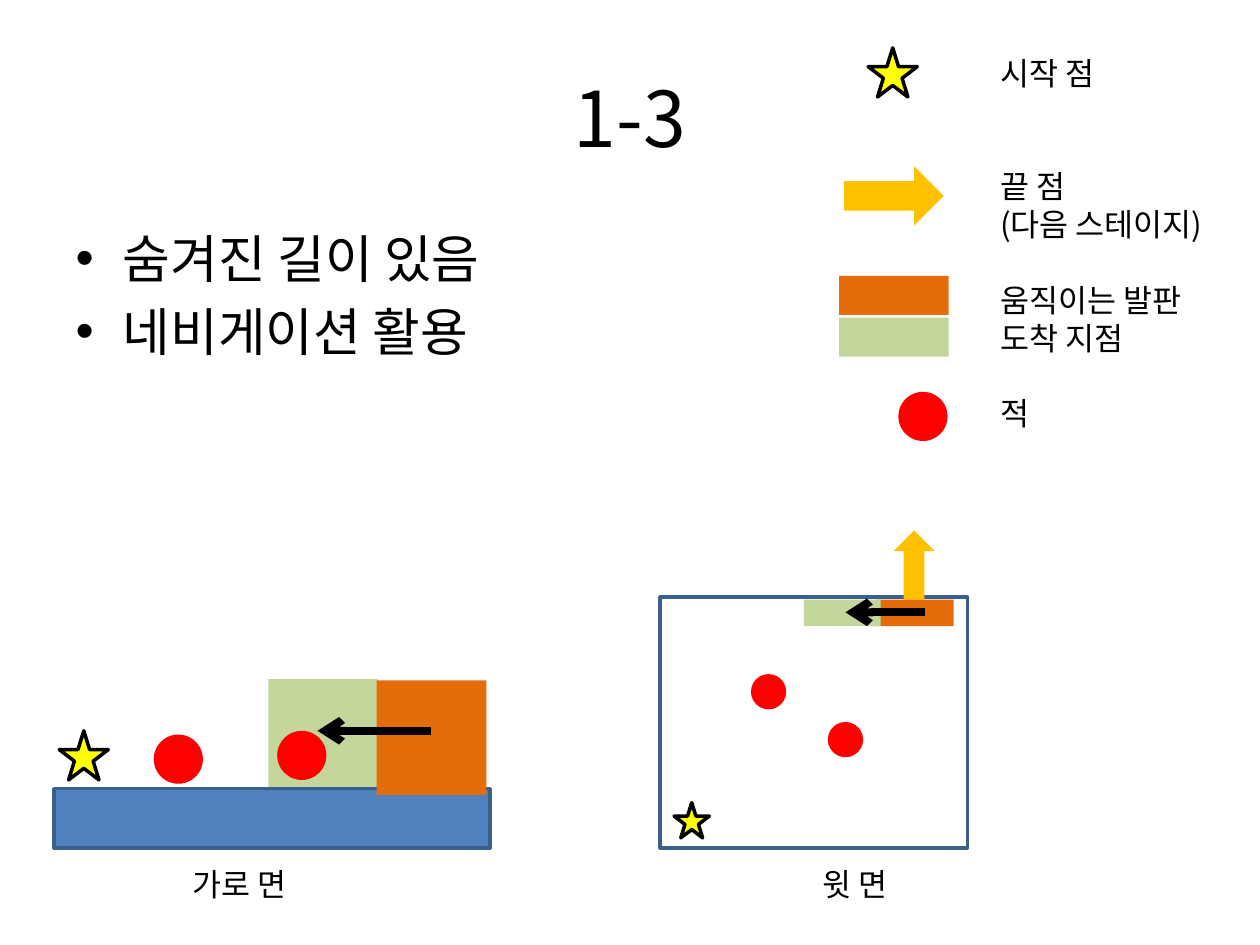
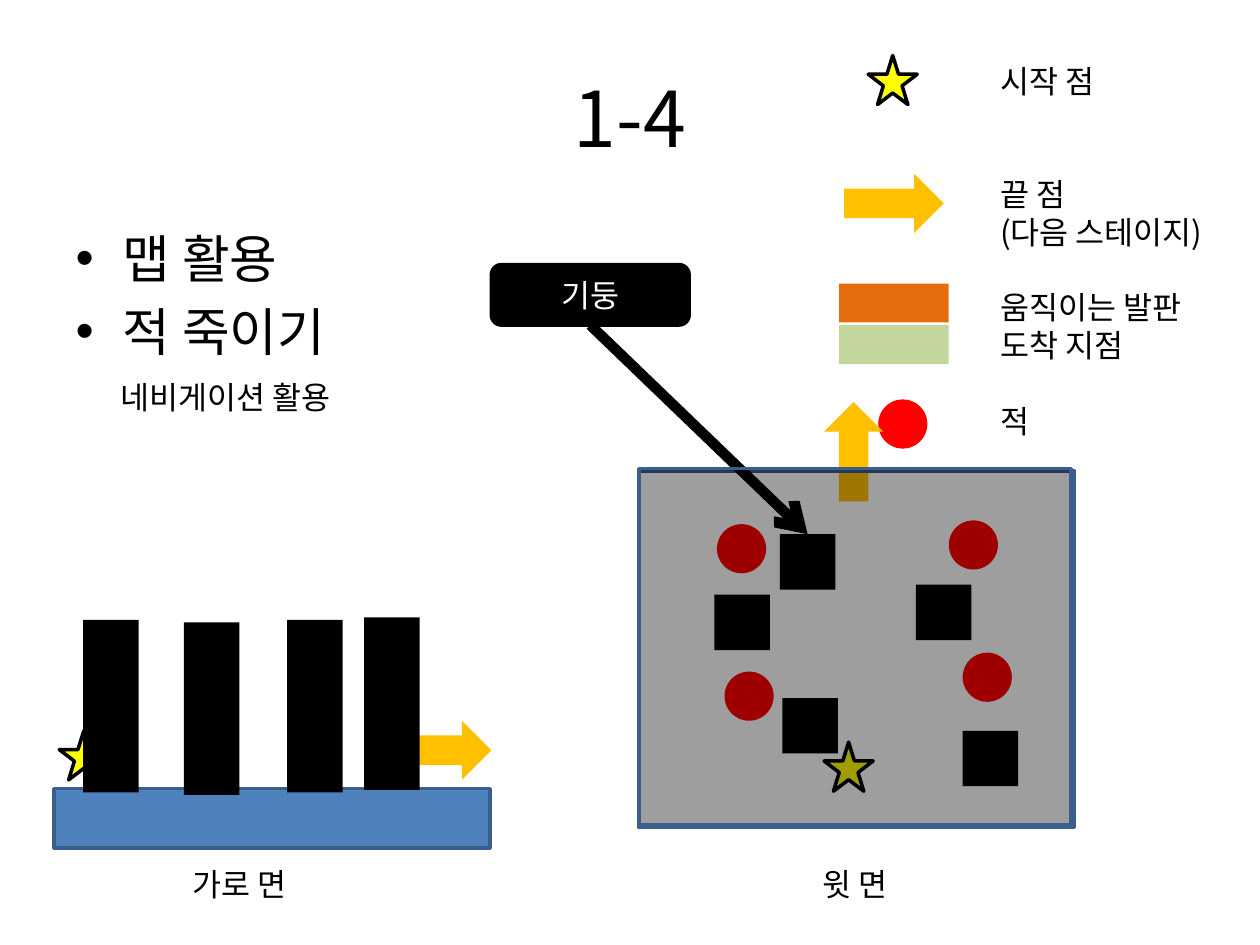
from dataclasses import dataclass

from lxml import etree
from pptx import Presentation
from pptx.dml.color import RGBColor
from pptx.enum.shapes import MSO_CONNECTOR, MSO_SHAPE
from pptx.enum.text import MSO_ANCHOR, MSO_AUTO_SIZE, PP_ALIGN
from pptx.oxml.ns import qn
from pptx.util import Inches, Pt

RECT, ROUND = MSO_SHAPE.RECTANGLE, MSO_SHAPE.ROUNDED_RECTANGLE
STAR, OVAL = MSO_SHAPE.STAR_5_POINT, MSO_SHAPE.OVAL
ARROW, STRAIGHT = MSO_SHAPE.RIGHT_ARROW, MSO_CONNECTOR.STRAIGHT
MIDDLE, CENTER = MSO_ANCHOR.MIDDLE, PP_ALIGN.CENTER
FIXED = MSO_AUTO_SIZE.NONE
BOTTOM, TOP = 2, 0  # connection sites of a rectangle
COLS, ROWS = 100, 75


@dataclass(frozen=True)
class Theme:
    font: str = "Noto Sans CJK KR"
    ink: str = "000000"
    paper: str = "FFFFFF"
    floor: str = "4F81BD"
    edge: str = "3A5F8C"
    start: str = "FFFF00"
    goal: str = "FFC000"
    foe: str = "FF0000"
    step: str = "E46C0A"
    stop: str = "C3D69B"
    head: float = 44
    item: float = 29.6
    note: float = 18
    lead: float = 1.2
    rule: float = 2


class Deck:
    """Style and current slide; lengths are columns and rows of the grid."""

    def __init__(self, theme):
        self.theme = theme
        self.prs = Presentation()
        self.prs.slide_width, self.prs.slide_height = Inches(10), Inches(7.5)
        self.col = self.prs.slide_width / COLS
        self.row = self.prs.slide_height / ROWS
        self.slide = None

    def frame(self, x, y, w, h):
        return (*self.point(x, y), *self.point(w, h))

    def point(self, x, y):
        return round(x * self.col), round(y * self.row)

    # Text
    def style(self, para, size, color):
        for run in para.runs:
            run.font.size = Pt(size)
            run.font.name = self.theme.font
            run.font.color.rgb = RGBColor.from_string(color)
            east = etree.SubElement(run.font._element, qn("a:ea"))
            east.set("typeface", self.theme.font)

    def put(self, text, size, lines):
        text.text = "\n".join(lines)
        for para in text.paragraphs:
            para.line_spacing = Pt(size * self.theme.lead)
            self.style(para, size, self.theme.ink)

    def page(self, title, items):
        self.slide = self.prs.slides.add_slide(self.prs.slide_layouts[1])
        head, body = self.slide.placeholders
        for part, at in ((head, (5, 3, 90, 12.5)), (body, (5, 17.5, 90, 11.3))):
            part.left, part.top, part.width, part.height = self.frame(*at)
            part.text_frame.auto_size = FIXED
        head.text_frame.text = title
        head.text_frame.vertical_anchor = MIDDLE
        para = head.text_frame.paragraphs[0]
        para.alignment = CENTER
        self.style(para, self.theme.head, self.theme.ink)
        self.put(body.text_frame, self.theme.item, items)
        for para in body.text_frame.paragraphs:
            para.space_before = Pt(self.theme.item * 0.2)

    def note(self, at, *lines):
        text = self.slide.shapes.add_textbox(*self.frame(*at)).text_frame
        text.word_wrap = True
        self.put(text, self.theme.note, lines)
        return text.paragraphs

    # Shapes
    def shape(self, kind, at, fill=None, line=None, alpha=None):
        shape = self.slide.shapes.add_shape(kind, *self.frame(*at))
        shape.shadow.inherit = False
        if fill:
            shape.fill.solid()
            shape.fill.fore_color.rgb = RGBColor.from_string(fill)
        else:
            shape.fill.background()
        if alpha:
            color = shape._element.spPr.find(qn("a:solidFill"))[0]
            etree.SubElement(color, qn("a:alpha")).set("val", str(alpha * 1000))
        if line:
            shape.line.color.rgb = RGBColor.from_string(line)
            shape.line.width = Pt(self.theme.rule)
        else:
            shape.line.fill.background()
        return shape

    def star(self, x, y, size=3.9):
        self.shape(STAR, (x, y, size, size), self.theme.start, self.theme.ink)

    def foe(self, x, y, size=3.9):
        self.shape(OVAL, (x, y, size, size), self.theme.foe)

    def goal(self, x, y, w=7.9, h=4.7, turn=0):
        self.shape(ARROW, (x, y, w, h), self.theme.goal).rotation = turn

    def pillar(self, x, y, h=4.4):
        return self.shape(RECT, (x, y, 4.4, h), self.theme.ink)

    def label(self, at, words):
        shape = self.shape(ROUND, at, self.theme.ink, self.theme.ink)
        text = shape.text_frame
        text.text = words
        text.vertical_anchor = MIDDLE
        text.paragraphs[0].alignment = CENTER
        self.style(text.paragraphs[0], self.theme.note, self.theme.paper)
        return shape

    def arrow(self, begin, end, width):
        line = self.slide.shapes.add_connector(
            STRAIGHT, *self.point(*begin), *self.point(*end))
        line.line.color.rgb = RGBColor.from_string(self.theme.ink)
        line.line.width = Pt(width)
        props = line._element.spPr
        tail = etree.SubElement(props.find(qn("a:ln")), qn("a:tailEnd"))
        tail.set("type", "arrow")
        etree.SubElement(props, qn("a:effectLst"))
        return line

    # Parts found on every slide
    def legend(self, top, foe):
        self.star(68.9, top)
        self.goal(67, top + 9.4)
        self.shape(RECT, (66.6, top + 18.1, 8.7, 3.1), self.theme.step)
        self.shape(RECT, (66.6, top + 21.4, 8.7, 3.1), self.theme.stop)
        self.foe(foe, top + 27.3)
        paras = self.note((78.4, top, 21.6, 31.3), "시작 점", "끝 점",
                          "(다음 스테이지)", "움직이는 발판", "도착 지점", "적")
        line = self.theme.note * self.theme.lead
        for index, gap in ((1, 2), (3, 1), (5, 1)):
            paras[index].space_before = Pt(gap * line)

    def floor(self):
        self.shape(RECT, (4.3, 62.6, 34.6, 4.7), self.theme.floor, self.theme.edge)
        self.star(4.7, 58)

    def views(self):
        para, = self.note((4.3, 68.2, 82.7, 4), "\t가로 면\t윗 면")
        tabs = etree.SubElement(para._p.get_or_add_pPr(), qn("a:tabLst"))
        for stop in (10, 60):
            tab = etree.SubElement(tabs, qn("a:tab"))
            tab.set("pos", str(round(stop * self.col)))
            tab.set("algn", "l")


def stage_three(deck):
    theme = deck.theme
    deck.page("1-3", ("숨겨진 길이 있음", "네비게이션 활용"))
    deck.views()

    # Top view
    deck.shape(RECT, (52.4, 47.4, 24.4, 19.9), line=theme.edge)
    deck.star(53.5, 63.7, 2.8)
    deck.goal(69.8, 43.2, 5.5, 3.3, 270)
    deck.shape(RECT, (69.6, 47.6, 6.1, 2.1), theme.step)
    deck.shape(RECT, (63.8, 47.6, 6.1, 2.1), theme.stop)
    for spot in ((65.7, 57.3), (59.6, 53.5)):
        deck.foe(*spot, 2.8)
    deck.arrow((73.4, 48.6), (67.1, 48.6), 4.5)

    # Side view
    deck.shape(RECT, (21.3, 53.9, 8.7, 8.8), theme.stop)
    deck.floor()
    deck.shape(RECT, (29.9, 54, 8.7, 9.1), theme.step)
    for spot in ((22, 58), (12.2, 58.3)):
        deck.foe(*spot)
    deck.arrow((34.2, 58), (25.2, 58), 4.5)
    deck.legend(3.8, 71.3)


def stage_four(deck):
    theme = deck.theme
    deck.page("1-4", ("맵 활용", "적 죽이기"))
    deck.note((8.6, 29.5, 37.1, 4), "네비게이션 활용")
    deck.views()
    deck.legend(4.4, 69.7)

    # Side view
    deck.floor()
    deck.goal(31.1, 57.2)
    for x, y in ((28.9, 49), (6.6, 49.2), (22.8, 49.2), (14.6, 49.4)):
        deck.pillar(x, y, 13.7)

    # Top view
    deck.star(65.4, 58.9)
    deck.goal(63.8, 33.5, turn=270)
    deck.shape(RECT, (50.7, 37.4, 34.6, 28.3), line=theme.edge)
    for spot in ((56.9, 41.6), (75.3, 41.3), (57.5, 53.3), (76.4, 51.8)):
        deck.foe(*spot)
    for spot in ((56.7, 47.2), (62.1, 55.4), (72.7, 46.4), (76.4, 58)):
        deck.pillar(*spot)
    target = deck.pillar(61.9, 42.4)

    # Pillar label and shade
    label = deck.label((39, 21, 15.7, 4.8), "기둥")
    line = deck.arrow((46.9, 25.8), (64.1, 42.4), 6)
    line.begin_connect(label, BOTTOM)
    line.end_connect(target, TOP)
    deck.shape(RECT, (50.7, 37.2, 34.3, 28.3), theme.ink, theme.edge, alpha=38)


def main():
    deck = Deck(Theme())
    stage_three(deck)
    stage_four(deck)
    deck.prs.save("out.pptx")


if __name__ == "__main__":
    main()
